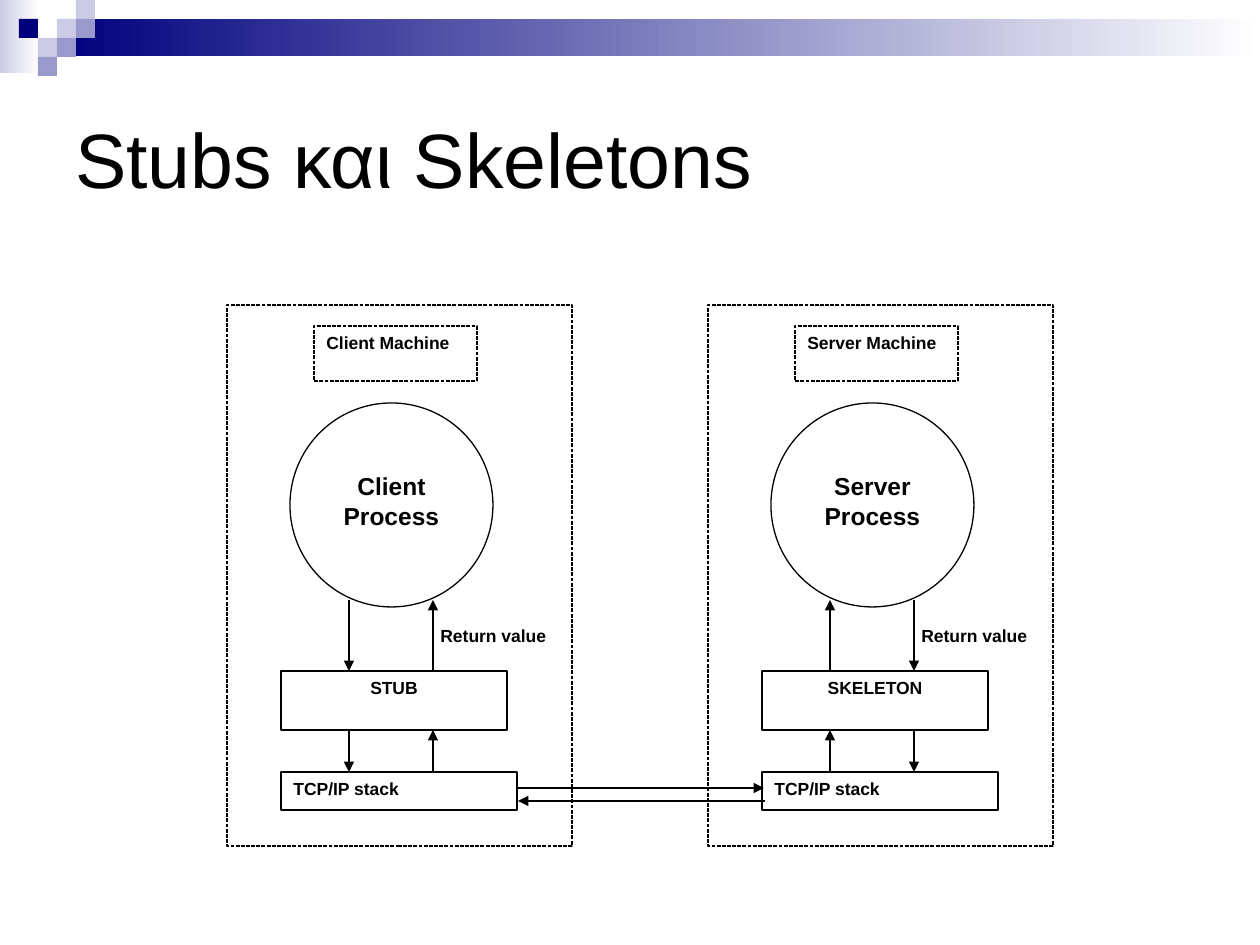
from lxml.etree import SubElement
from pptx import Presentation
from pptx.dml.color import RGBColor
from pptx.enum.dml import MSO_LINE
from pptx.enum.shapes import MSO_CONNECTOR, MSO_SHAPE
from pptx.enum.text import MSO_ANCHOR, PP_ALIGN
from pptx.oxml.ns import qn
from pptx.util import Emu, Pt

SCALE = 914400 / 126


def px(*nums):
    return [Emu(round(n * SCALE)) for n in nums]


deck = Presentation()
deck.slide_width, deck.slide_height = px(1260, 945)
slide = deck.slides.add_slide(deck.slide_layouts[6])
rgb = RGBColor.from_string


def add_box(at, fill=None, line=None, text="", size=10, bold=True,
            align=PP_ALIGN.LEFT, anchor=MSO_ANCHOR.TOP, kind=MSO_SHAPE.RECTANGLE):
    """Add a shape, or a text box if it has no line; two fill colours make a gradient."""
    if text and line is None:
        box = slide.shapes.add_textbox(*px(*at))
    else:
        box = slide.shapes.add_shape(kind, *px(*at))
        box.shadow.inherit = False
    if fill is None:
        box.fill.background()
    elif isinstance(fill, tuple):
        box.fill.gradient()
        box.fill.gradient_angle = 0
        for stop, tone in zip(box.fill.gradient_stops, fill):
            stop.color.rgb = rgb(tone)
    else:
        box.fill.solid()
        box.fill.fore_color.rgb = rgb(fill)
    if line is None:
        box.line.fill.background()
    else:
        box.line.color.rgb = rgb("000000")
        box.line.width = Pt(0.75)
        box.line.dash_style = line
    if text:
        frame = box.text_frame
        frame.word_wrap = True
        frame.vertical_anchor = anchor
        frame.text = text
        para = frame.paragraphs[0]
        para.alignment = align
        font = para.runs[0].font
        font.name, font.size, font.bold = "Arial", Pt(size), bold
        font.color.rgb = rgb("000000")


def add_arrow(x1, y1, x2, y2):
    arrow = slide.shapes.add_connector(MSO_CONNECTOR.STRAIGHT, *px(x1, y1, x2, y2))
    arrow.line.color.rgb = rgb("000000")
    arrow.line.width = Pt(0.75)
    SubElement(arrow.line._get_or_add_ln(), qn("a:tailEnd"), type="triangle")
    SubElement(arrow._element.spPr, qn("a:effectLst"))


# Banner with its corner squares
add_box((0, 0, 39, 73), ("CCCCE6", "FFFFFF"))
add_box((57, 19, 1203, 37), ("00007D", "FFFFFF"))
cell = 19
for col, row, tone in [(3, 1, "CCCCE6"), (4, 0, "CCCCE6"), (4, 1, "9999CC"),
                       (2, 2, "CCCCE6"), (1, 1, "00007D"), (3, 2, "9999CC"),
                       (2, 3, "9999CC")]:
    add_box((col * cell, row * cell, cell, cell), tone)

add_box((63, 63, 1134, 189), text="Stubs και Skeletons", size=44, bold=False,
        anchor=MSO_ANCHOR.MIDDLE)

# The two machines share one layout, a fixed step apart
solid, dash = MSO_LINE.SOLID, MSO_LINE.SQUARE_DOT
center = PP_ALIGN.CENTER
step = 481
for side, (role, proxy) in enumerate([("Client", "STUB"), ("Server", "SKELETON")]):
    dx = side * step
    add_box((227 + dx, 305, 345, 541), line=dash)
    add_box((314 + dx, 326, 163, 55), "FFFFFF", dash, f"{role} Machine")
    add_box((290 + dx, 403, 203, 204), "FFFFFF", solid, kind=MSO_SHAPE.OVAL)
    add_box((323 + dx, 465, 137, 82), "FFFFFF", text=f"{role} Process", size=14,
            align=center)
    add_box((281 + dx, 671, 226, 59), "FFFFFF", solid, proxy, align=center)
    add_box((281 + dx, 772, 236, 38), "FFFFFF", solid, "TCP/IP stack")
    add_box((428 + dx, 619, 145, 43), text="Return value")

    down, up = (433, 349) if side else (349, 433)
    for top, low in [(600, 671), (730, 772)]:
        add_arrow(down + dx, top, down + dx, low)
        add_arrow(up + dx, low, up + dx, top)

# Traffic between the stacks
add_arrow(517, 788, 764, 788)
add_arrow(765, 801, 518, 801)

deck.save("out.pptx")
